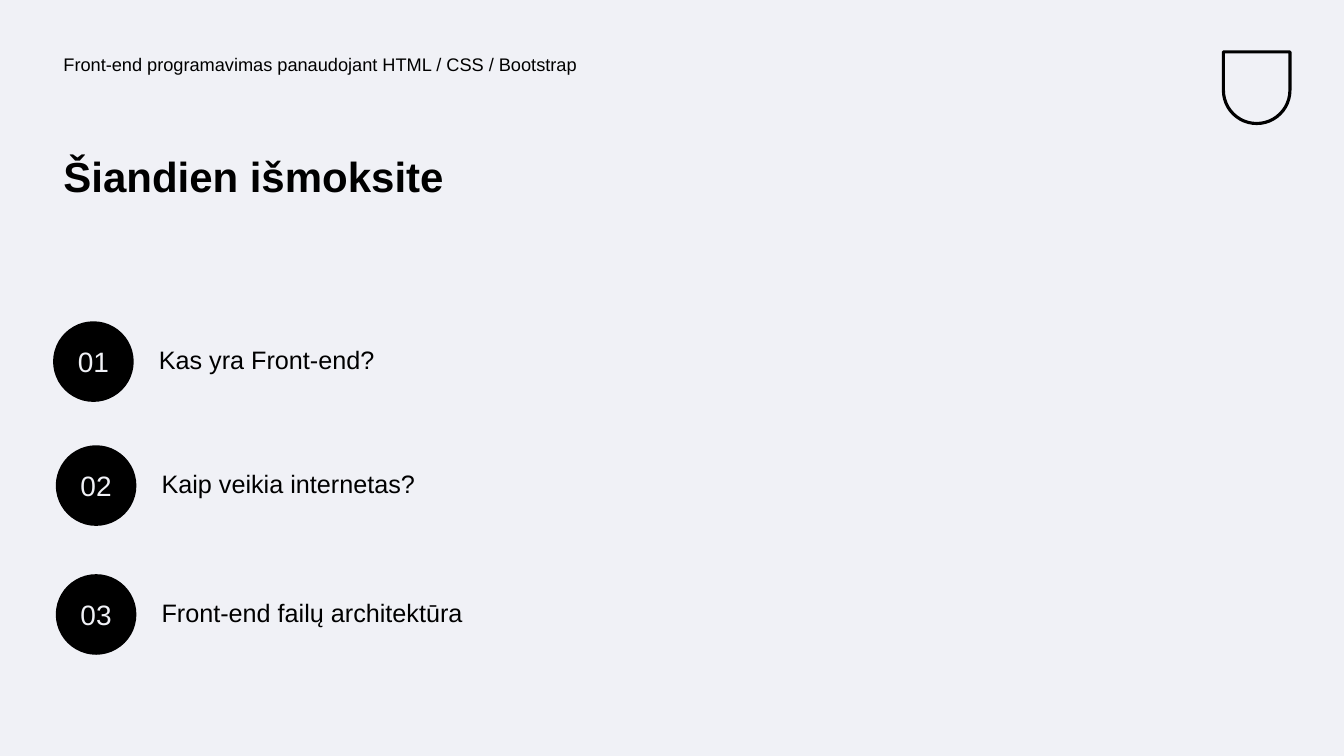
"""Build the lesson goals slide with three numbered topics."""
from pptx import Presentation
from pptx import util as u
from pptx.dml.color import RGBColor
from pptx.enum import shapes, text

INK, PALE = "000000", "F0F1F6"

deck = Presentation()
deck.slide_width, deck.slide_height = u.Inches(13.33), u.Inches(7.5)
col, row = deck.slide_width / 100, deck.slide_height / 100
slide = deck.slides.add_slide(deck.slide_layouts[6])


def paint(fill, tint):
    fill.solid()
    fill.fore_color.rgb = RGBColor.from_string(tint)


def write(shape, words, size, tint=INK, bold=False, space=1.0):
    shape.text_frame.word_wrap = True
    para = shape.text_frame.paragraphs[0]
    para.line_spacing = space
    run = para.add_run()
    run.text = words
    run.font.name, run.font.size, run.font.bold = "Arial", u.Pt(size), bold
    paint(run.font.fill, tint)
    return para


paint(slide.background.fill, PALE)

badge = slide.shapes.add_shape(
    shapes.MSO_SHAPE.ROUND_2_SAME_RECTANGLE,
    int(91.03 * col), int(6.87 * row), int(4.95 * col), int(9.47 * row))
badge.adjustments[0], badge.adjustments[1] = 0, 0.5
badge.shadow.inherit = False
badge.fill.background()
paint(badge.line.fill, INK)
badge.line.width = u.Pt(2.25)

heads = [
    ("Front-end programavimas panaudojant HTML / CSS / Bootstrap",
     6.67, 46.06, 6.67, 13, False),
    ("Šiandien išmoksite", 20, 42.31, 19.87, 30, True),
]
for words, top, wide, high, size, bold in heads:
    box = slide.shapes.add_textbox(
        int(3.98 * col), int(top * row), int(wide * col), int(high * row))
    write(box, words, size, bold=bold, space=0.9)

topics = [
    ("Kas yra Front-end?", 3.95, 42.5),
    ("Kaip veikia internetas?", 4.15, 58.9),
    ("Front-end failų architektūra", 4.15, 75.95),
]
for num, (words, left, top) in enumerate(topics, 1):
    disc = slide.shapes.add_shape(
        shapes.MSO_SHAPE.OVAL,
        int(left * col), int(top * row), int(6 * col), int(6 * col))
    disc.shadow.inherit = False
    paint(disc.fill, INK)
    disc.line.fill.background()
    disc.text_frame.vertical_anchor = text.MSO_ANCHOR.MIDDLE
    para = write(disc, f"{num:02}", 20, PALE)
    para.alignment = text.PP_ALIGN.CENTER

    label = slide.shapes.add_textbox(
        int((left + 7.13) * col), int((top + 2.35) * row),
        int(34.73 * col), int(5.87 * row))
    write(label, words, 18)

deck.save("out.pptx")
